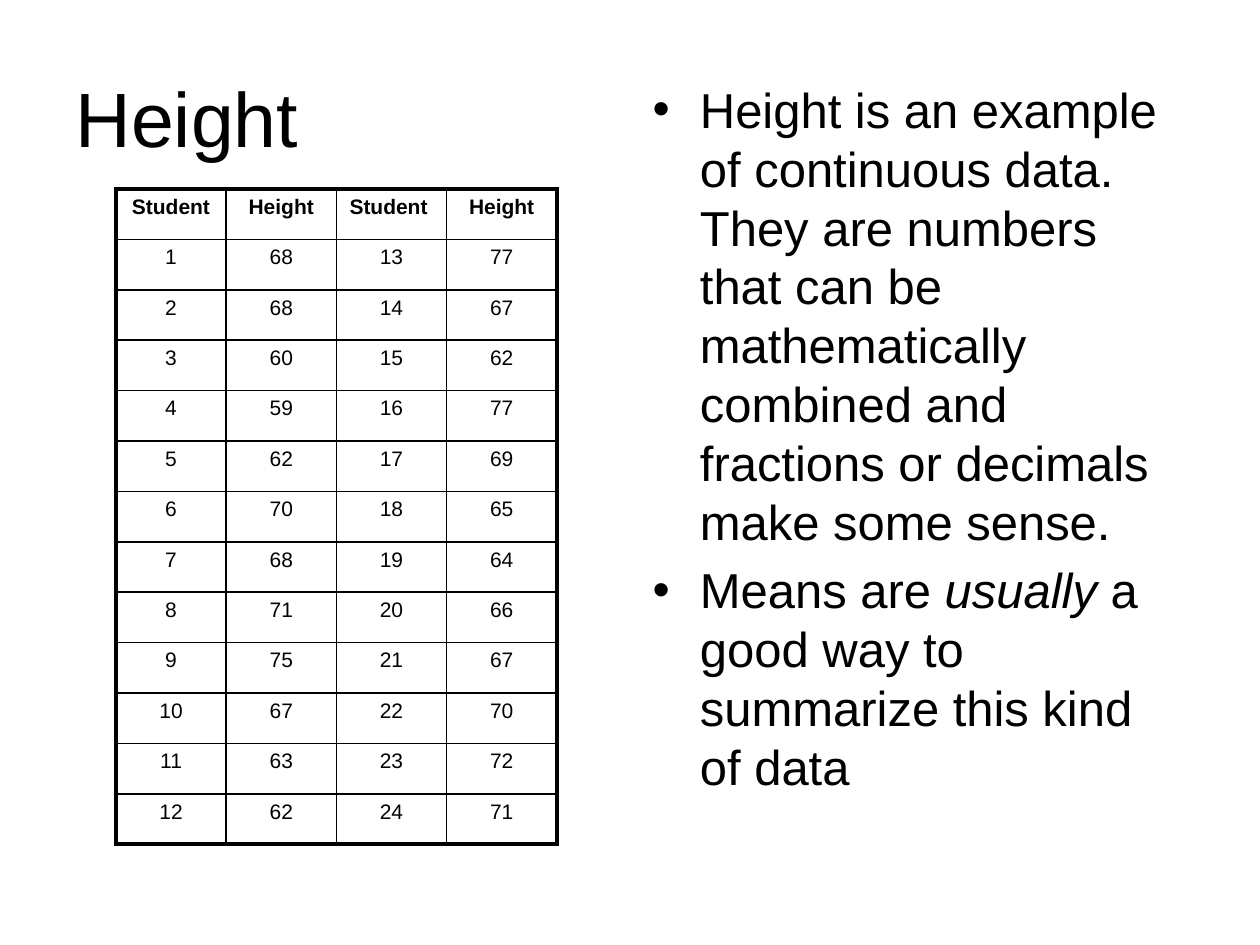
"""Build the Height slide: a table of student heights beside two notes."""
from dataclasses import dataclass

import lxml.etree
import pptx
import pptx.dml.color
import pptx.enum.text
import pptx.oxml.ns
import pptx.shapes.placeholder
import pptx.slide
import pptx.table
import pptx.text.text
import pptx.util

COLORS = {"ink": "000000", "paper": "FFFFFF"}
FONT = "Arial"
THICK, THIN = 2.25, 1
HEADERS = ["Student", "Height", "Student ", "Height"]
HEIGHTS = [68, 68, 60, 59, 62, 70, 68, 71, 75, 67, 63, 62,
           77, 67, 62, 77, 69, 65, 64, 66, 67, 70, 72, 71]


@dataclass
class Frame:
    """Position and size in inches."""

    left: float
    top: float
    width: float
    height: float

    def lengths(self) -> list[pptx.util.Length]:
        """Return left, top, width and height as lengths."""
        return [pptx.util.Inches(value) for value in (self.left, self.top, self.width, self.height)]


@dataclass
class Phrase:
    """A stretch of text in one style."""

    text: str
    italic: bool = False


TITLE_FRAME = Frame(0.5, 0.3, 9, 1.25)
BODY_FRAME = Frame(5.08, 0.58, 4.42, 6.58)
TABLE_FRAME = Frame(0.92, 1.5, 3.5, 5.2)
NOTES = [
    [Phrase("Height is an example of continuous data. They are numbers that can be "
            "mathematically combined and fractions or decimals make some sense.")],
    [Phrase("Means are "), Phrase("usually ", italic=True),
     Phrase("a good way to summarize this kind of data")],
]


def style_run(span: pptx.text.text._Run, size: float, bold: bool = False, italic: bool = False) -> None:
    """Give a run its font, size, colour and weight."""
    span.font.name = FONT
    span.font.size = pptx.util.Pt(size)
    span.font.bold = bold
    span.font.italic = italic
    span.font.color.rgb = pptx.dml.color.RGBColor.from_string(COLORS["ink"])


def place(box: pptx.shapes.placeholder.SlidePlaceholder, frame: Frame) -> None:
    """Move a placeholder to its frame and keep its text size fixed."""
    box.left, box.top, box.width, box.height = frame.lengths()
    box.text_frame.word_wrap = True
    box.text_frame.auto_size = pptx.enum.text.MSO_AUTO_SIZE.NONE


def add_title(page: pptx.slide.Slide, text: str) -> None:
    """Fill the title placeholder."""
    title = page.shapes.title
    place(title, TITLE_FRAME)
    title.text_frame.text = text
    para = title.text_frame.paragraphs[0]
    para.alignment = pptx.enum.text.PP_ALIGN.LEFT
    style_run(para.runs[0], 44)


def add_notes(page: pptx.slide.Slide, notes: list[list[Phrase]]) -> None:
    """Fill the body placeholder with bulleted notes."""
    body = page.placeholders[1]
    place(body, BODY_FRAME)
    for index, phrases in enumerate(notes):
        para = body.text_frame.paragraphs[0] if index == 0 else body.text_frame.add_paragraph()
        for phrase in phrases:
            span = para.add_run()
            span.text = phrase.text
            style_run(span, 28, italic=phrase.italic)


def set_borders(cell: pptx.table._Cell, widths: dict[str, float]) -> None:
    """Draw the cell borders, keyed L, R, T and B in schema order."""
    properties = cell._tc.get_or_add_tcPr()
    for index, (side, width) in enumerate(widths.items()):
        line = lxml.etree.Element(pptx.oxml.ns.qn(f"a:ln{side}"), w=str(int(pptx.util.Pt(width))))
        fill = lxml.etree.SubElement(line, pptx.oxml.ns.qn("a:solidFill"))
        lxml.etree.SubElement(fill, pptx.oxml.ns.qn("a:srgbClr"), val=COLORS["ink"])
        properties.insert(index, line)


def add_height_table(page: pptx.slide.Slide) -> None:
    """Add the table, with students numbered down two pairs of columns."""
    half = len(HEIGHTS) // 2
    rows = [HEADERS] + [
        [number, HEIGHTS[number - 1], number + half, HEIGHTS[number + half - 1]]
        for number in range(1, half + 1)
    ]
    last_row, last_column = len(rows) - 1, len(HEADERS) - 1
    table = page.shapes.add_table(len(rows), len(HEADERS), *TABLE_FRAME.lengths()).table
    table.first_row = table.horz_banding = False
    for row, values in enumerate(rows):
        for column, value in enumerate(values):
            cell = table.cell(row, column)
            cell.fill.solid()
            cell.fill.fore_color.rgb = pptx.dml.color.RGBColor.from_string(COLORS["paper"])
            cell.text_frame.text = str(value)
            para = cell.text_frame.paragraphs[0]
            para.alignment = pptx.enum.text.PP_ALIGN.CENTER
            para.space_before = pptx.util.Pt(2.4)
            style_run(para.runs[0], 12, bold=row == 0)
            set_borders(cell, {
                "L": THICK if column == 0 else THIN,
                "R": THICK if column == last_column else THIN,
                "T": THICK if row == 0 else THIN,
                "B": THICK if row == last_row else THIN,
            })


def main() -> None:
    """Build and save the deck."""
    deck = pptx.Presentation()
    deck.slide_width, deck.slide_height = pptx.util.Inches(10), pptx.util.Inches(7.5)
    page = deck.slides.add_slide(deck.slide_layouts[1])
    add_title(page, "Height")
    add_notes(page, NOTES)
    add_height_table(page)
    deck.save("out.pptx")


if __name__ == "__main__":
    main()
